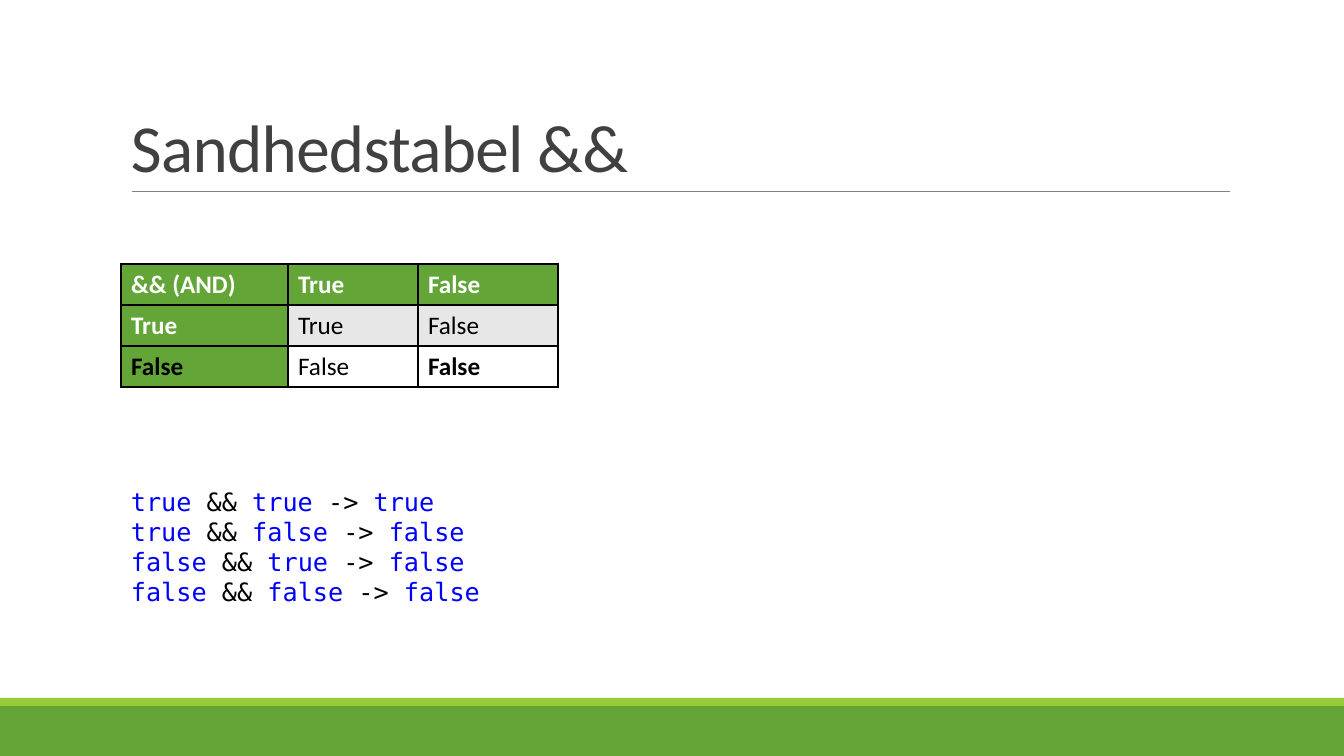
from itertools import product

from lxml.etree import SubElement
from pptx import Presentation
from pptx.dml.color import RGBColor
from pptx.enum.shapes import MSO_CONNECTOR as CONNECTOR, MSO_SHAPE as SHAPE
from pptx.enum.text import MSO_ANCHOR as ANCHOR
from pptx.oxml.ns import qn
from pptx.util import Emu, Pt

SLIDE_W, SLIDE_H = 1344, 756
GREEN, LIME = "63A537", "99CB38"
BLACK, WHITE, BAND = "000000", "FFFFFF", "E7E7E7"
KEYWORD_BLUE = "0000FF"
TRUTH_ROWS = [
    ["&& (AND)", "True", "False"],
    ["True", "True", "False"],
    ["False", "False", "False"],
]


def px(length):
    return Emu(round(length * 914400 / 100.8))


def rgb(color):
    return RGBColor.from_string(color)


def style(run, size, color, font="Calibri", bold=False):
    run.font.name = font
    run.font.size = Pt(size)
    run.font.bold = bold
    run.font.color.rgb = rgb(color)


def add_bar(slide, left, top, width, height, color):
    bar = slide.shapes.add_shape(
        SHAPE.RECTANGLE, px(left), px(top), px(width), px(height))
    bar.shadow.inherit = False
    bar.fill.solid()
    bar.fill.fore_color.rgb = rgb(color)
    bar.line.fill.background()


def add_footer(slide, left, top, width, height):
    stripe = 8
    add_bar(slide, left, top + stripe, width, height - stripe, GREEN)
    add_bar(slide, left, top, width, stripe, LIME)


def add_text_frame(slide, left, top, width, height):
    frame = slide.shapes.add_textbox(
        px(left), px(top), px(width), px(height)).text_frame
    frame.word_wrap = True
    return frame


def add_title(slide, left, top, width, height):
    """Place the heading at the bottom of its box, with a rule under it."""
    bottom = px(top + height)
    rule = slide.shapes.add_connector(
        CONNECTOR.STRAIGHT, px(left + 11), bottom, px(left + width), bottom)
    rule.line.color.rgb = rgb("808080")
    rule.line.width = Pt(0.5)
    SubElement(rule._element.spPr, qn("a:effectLst"))

    frame = add_text_frame(slide, left, top, width, height)
    frame.vertical_anchor = ANCHOR.BOTTOM
    heading = frame.paragraphs[0]
    heading.text = "Sandhedstabel &&"
    heading.line_spacing = 0.85
    style(heading.runs[0], 48, "404040")
    heading.runs[0].font._element.set("spc", "-50")


def add_borders(cell):
    properties = cell._tc.get_or_add_tcPr()
    for position, side in enumerate(("a:lnL", "a:lnR", "a:lnT", "a:lnB")):
        border = SubElement(properties, qn(side), w=str(Pt(1)))
        fill = SubElement(border, qn("a:solidFill"))
        SubElement(fill, qn("a:srgbClr"), val=BLACK)
        properties.insert(position, border)


def add_truth_table(slide, left, top, column_widths, row_height):
    last = len(TRUTH_ROWS) - 1
    table = slide.shapes.add_table(
        len(TRUTH_ROWS), len(column_widths), px(left), px(top),
        px(sum(column_widths)), px(row_height * len(TRUTH_ROWS))).table
    for column, width in zip(table.columns, column_widths):
        column.width = px(width)
    for r, values in enumerate(TRUTH_ROWS):
        table.rows[r].height = px(row_height)
        for c, value in enumerate(values):
            is_header = r == 0 or c == 0
            cell = table.cell(r, c)
            cell.text = value
            cell.fill.solid()
            cell.fill.fore_color.rgb = rgb(
                GREEN if is_header else BAND if r == 1 else WHITE)
            style(cell.text_frame.paragraphs[0].runs[0], 18,
                  WHITE if is_header and r < last else BLACK,
                  bold=is_header or r == c == last)
            add_borders(cell)


def add_code(slide, left, top, width, height):
    """List the result of && for every pair of operands."""
    frame = add_text_frame(slide, left, top, width, height)
    for number, (first, second) in enumerate(product((True, False), repeat=2)):
        line = frame.add_paragraph() if number else frame.paragraphs[0]
        operands = [str(value).lower()
                    for value in (first, second, first and second)]
        tokens = [operands[0], " && ", operands[1], " -> ", operands[2]]
        for position, token in enumerate(tokens):
            run = line.add_run()
            run.text = token
            style(run, 18, BLACK if position % 2 else KEYWORD_BLUE,
                  font="DejaVu Sans Mono")


def main():
    deck = Presentation()
    deck.slide_width, deck.slide_height = px(SLIDE_W), px(SLIDE_H)
    slide = deck.slides.add_slide(deck.slide_layouts[6])
    add_footer(slide, 0, 698, SLIDE_W, 58)
    add_title(slide, 121, 31, 1109, 160)
    add_truth_table(slide, 121, 264, [167, 130, 140], 41)
    add_code(slide, 121, 481, 374, 132)
    deck.save("out.pptx")


if __name__ == "__main__":
    main()
